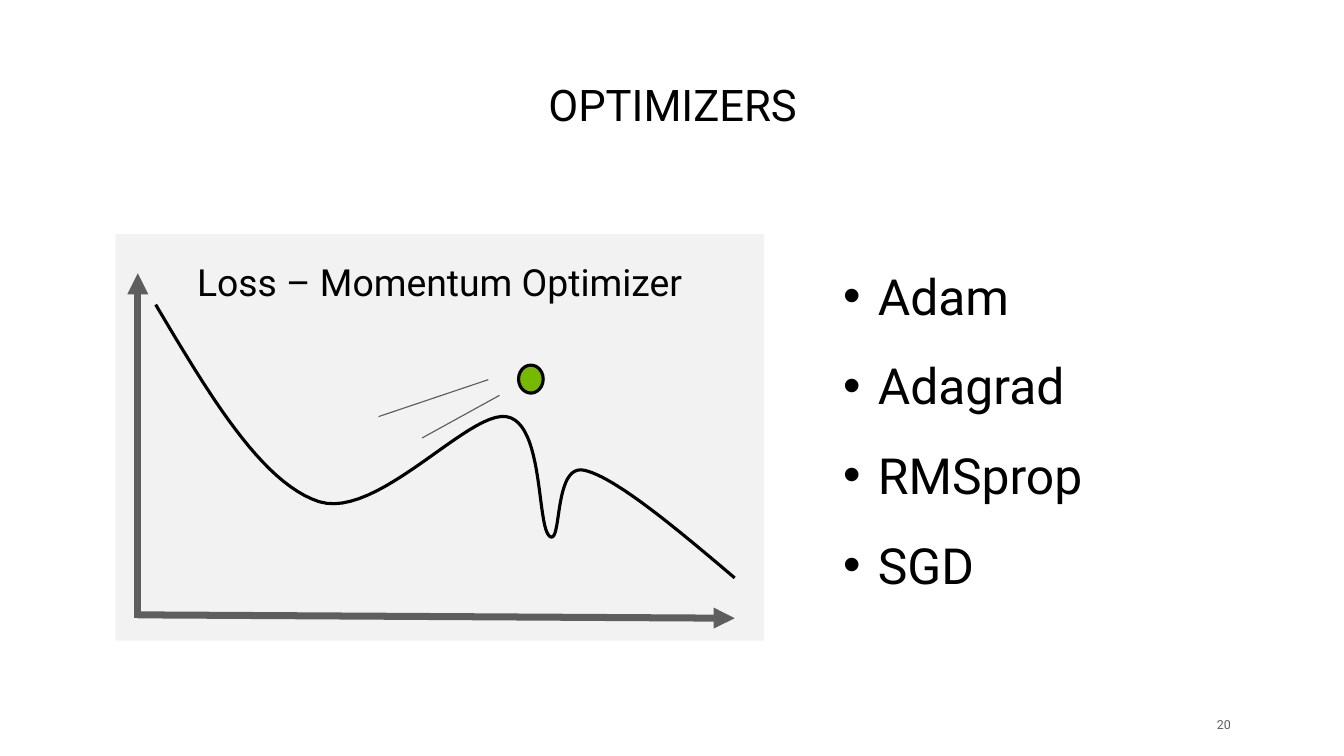
"""Build the optimizers slide with a momentum loss curve and a bullet list."""
from lxml.etree import SubElement
from pptx import Presentation
from pptx.dml.color import RGBColor
from pptx.enum.shapes import MSO_CONNECTOR, MSO_SHAPE
from pptx.enum.text import MSO_ANCHOR, MSO_AUTO_SIZE, PP_ALIGN
from pptx.oxml.ns import qn
from pptx.util import Inches, Pt

COLORS = {
    "text": "000000",
    "panel": "F2F2F2",
    "axis": "5E5E5E",
    "ball": "76B900",
}
FONT = "Roboto"
OPTIMIZERS = ["Adam", "Adagrad", "RMSprop", "SGD"]
CURVE_START = (1.39, 2.72)
CURVE_SEGMENTS = [
    ((1.86, 3.51), (2.33, 4.31), (2.85, 4.48)),
    ((3.37, 4.64), (4.18, 3.67), (4.52, 3.72)),
    ((4.86, 3.77), (4.79, 4.71), (4.91, 4.79)),
    ((5.02, 4.87), (4.94, 4.13), (5.22, 4.2)),
    ((5.49, 4.26), (6.03, 4.71), (6.56, 5.16)),
]
CURVE_STEPS = 24


def color(name):
    return RGBColor.from_string(COLORS[name])


def style_text(para, size, color_name="text", align=PP_ALIGN.LEFT):
    para.alignment = align
    para.font.size = Pt(size)
    para.font.name = FONT
    para.font.color.rgb = color(color_name)
    for span in para.runs:
        span.font.size = Pt(size)
        span.font.name = FONT
        span.font.color.rgb = color(color_name)


def add_text(page, text, left, top, width, height, anchor):
    box = page.shapes.add_textbox(Inches(left), Inches(top), Inches(width), Inches(height))
    frame = box.text_frame
    frame.word_wrap = True
    frame.vertical_anchor = anchor
    frame.text = text
    return frame


def add_shape(page, kind, left, top, width, height, fill):
    shape = page.shapes.add_shape(kind, Inches(left), Inches(top), Inches(width), Inches(height))
    shape.shadow.inherit = False
    shape.fill.solid()
    shape.fill.fore_color.rgb = color(fill)
    shape.line.fill.background()
    return shape


def outline(shape, width, color_name="text"):
    shape.line.color.rgb = color(color_name)
    shape.line.width = Pt(width)


def add_line(page, start, end, width, arrow=False):
    points = [Inches(value) for value in (*start, *end)]
    line = page.shapes.add_connector(MSO_CONNECTOR.STRAIGHT, *points)
    outline(line, width, "axis")
    properties = line._element.spPr
    if arrow:
        SubElement(properties.find(qn("a:ln")), qn("a:tailEnd"), type="triangle")
    SubElement(properties, qn("a:effectLst"))


def bezier_points(start, segments):
    points = []
    for first, second, end in segments:
        for step in range(1, CURVE_STEPS + 1):
            t = step / CURVE_STEPS
            u = 1 - t
            points.append(tuple(
                Inches(u**3 * a + 3 * u**2 * t * b + 3 * u * t**2 * c + t**3 * d)
                for a, b, c, d in zip(start, first, second, end)
            ))
        start = end
    return points


def add_curve(page):
    builder = page.shapes.build_freeform(*(Inches(value) for value in CURVE_START))
    builder.add_line_segments(bezier_points(CURVE_START, CURVE_SEGMENTS), close=False)
    curve = builder.convert_to_shape()
    curve.shadow.inherit = False
    curve.fill.background()
    outline(curve, 2)


def add_panel(page):
    panel = add_shape(page, MSO_SHAPE.RECTANGLE, 1.03, 2.09, 5.79, 3.63, "panel")
    frame = panel.text_frame
    frame.vertical_anchor = MSO_ANCHOR.TOP
    frame.margin_top = Inches(0.22)
    frame.text = "Loss – Momentum Optimizer"
    style_text(frame.paragraphs[0], 24, align=PP_ALIGN.CENTER)


def add_bullets(page, items):
    frame = add_text(page, "\n".join(items), 7.43, 2.09, 3.35, 3.23, MSO_ANCHOR.MIDDLE)
    frame.auto_size = MSO_AUTO_SIZE.SHAPE_TO_FIT_TEXT
    for para in frame.paragraphs:
        properties = para._p.get_or_add_pPr()
        properties.set("marL", str(Inches(0.31)))
        properties.set("indent", str(-Inches(0.31)))
        SubElement(properties, qn("a:buFont"), typeface="Arial")
        SubElement(properties, qn("a:buChar"), char="•")
        para.line_spacing = 1.5
        style_text(para, 32)


def add_title(page, text):
    frame = add_text(page, text, 0.55, 0.57, 10.91, 0.65, MSO_ANCHOR.BOTTOM)
    frame.paragraphs[0].line_spacing = 0.9
    style_text(frame.paragraphs[0], 28, align=PP_ALIGN.CENTER)


def add_page_number(page, number):
    frame = add_text(page, number, 10.68, 6.38, 0.31, 0.18, MSO_ANCHOR.MIDDLE)
    frame.margin_left = frame.margin_right = frame.margin_top = frame.margin_bottom = 0
    style_text(frame.paragraphs[0], 8, "axis", PP_ALIGN.RIGHT)


def main():
    deck = Presentation()
    deck.slide_width, deck.slide_height = Inches(12), Inches(6.75)
    page = deck.slides.add_slide(deck.slide_layouts[6])
    add_page_number(page, "20")
    add_title(page, "OPTIMIZERS")
    add_panel(page)
    add_curve(page)
    add_line(page, (1.23, 5.52), (1.23, 2.44), 4.5, arrow=True)
    add_line(page, (1.23, 5.49), (6.56, 5.52), 4.5, arrow=True)
    ball = add_shape(page, MSO_SHAPE.OVAL, 4.63, 3.26, 0.22, 0.25, "ball")
    outline(ball, 2)
    add_line(page, (4.46, 3.53), (3.77, 3.91), 0.75)
    add_line(page, (4.36, 3.39), (3.38, 3.72), 0.75)
    add_bullets(page, OPTIMIZERS)
    deck.save("out.pptx")


if __name__ == "__main__":
    main()
